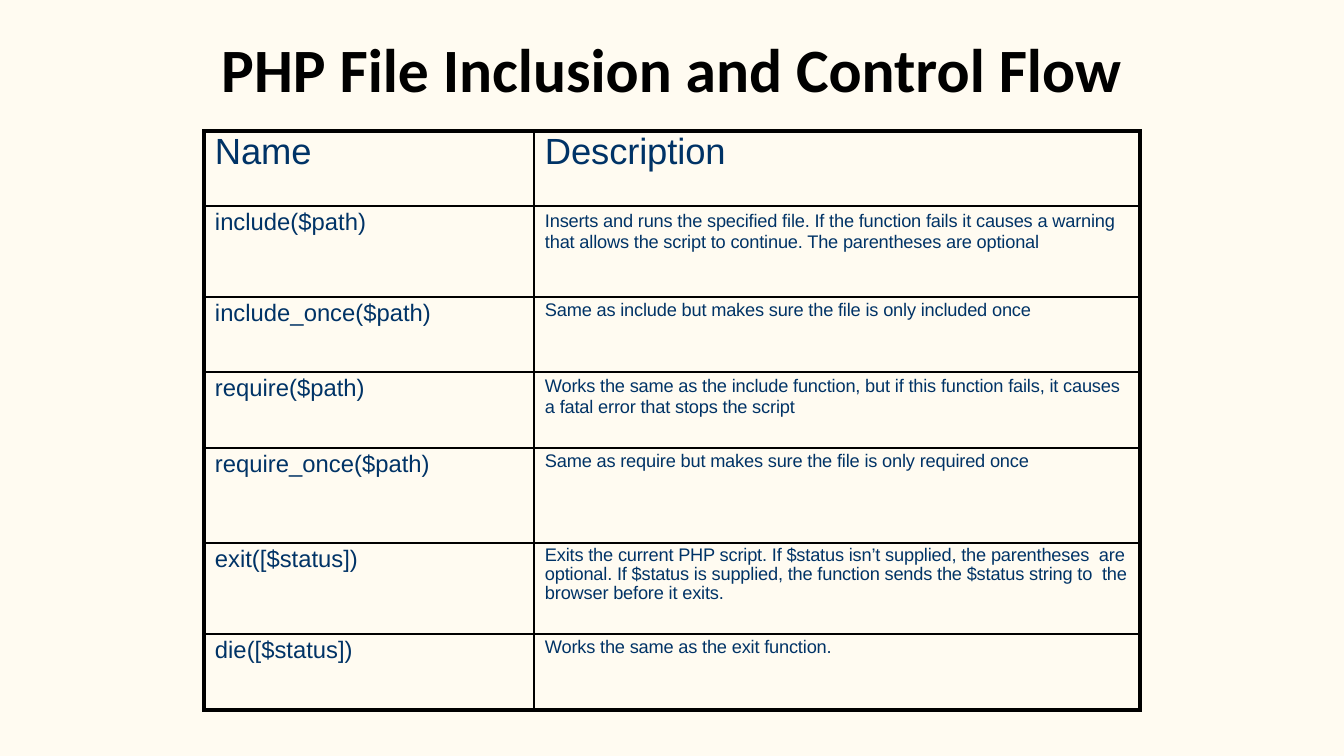
from dataclasses import dataclass

from lxml import etree
from pptx import Presentation
from pptx.dml.color import RGBColor
from pptx.enum.text import MSO_ANCHOR, PP_ALIGN
from pptx.oxml.ns import qn
from pptx.util import Pt

MIDDLE, TOP = MSO_ANCHOR.MIDDLE, MSO_ANCHOR.TOP
CENTER = PP_ALIGN.CENTER

# Content: name, description, row height in px, description line spacing
TITLE = "PHP File Inclusion and Control Flow"
ROWS = [
    ("Name", "Description", 75, None),
    ("include($path)",
     "Inserts and runs the specified file. If the function fails it causes a warning  "
     "that allows the script to continue. The parentheses are optional", 91, Pt(15.1)),
    ("include_once($path)",
     "Same as include but makes sure the file is only included once", 75, None),
    ("require($path)",
     "Works the same as the include function, but if this function fails, it causes  "
     "a fatal error that stops the script", 76, Pt(14.9)),
    ("require_once($path)",
     "Same as require but makes sure the file is only required once", 95, None),
    ("exit([$status])",
     "Exits the current PHP script. If $status isn’t supplied, the parentheses  are "
     "optional. If $status is supplied, the function sends the $status string to  "
     "the browser before it exits.", 91, 0.93),
    ("die([$status])", "Works the same as the exit function.", 76, None),
]

# Layout in px
SLIDE_WIDTH, SLIDE_HEIGHT = 1344, 756
TITLE_BOX = (0, 14, SLIDE_WIDTH, 117)
TABLE_LEFT, TABLE_TOP = 204, 131
COLUMN_WIDTHS = (330, 606)
TEXT_INDENT = 11
RIGHT_MARGIN = 8


@dataclass(frozen=True)
class Theme:
    background: str = "FFFBF1"
    title_color: str = "000000"
    text_color: str = "003366"
    border_color: str = "000000"
    title_font: str = "Calibri"
    text_font: str = "Arial"
    title_size: int = 44
    header_size: int = 26
    name_size: int = 17
    description_size: int = 13
    outer_border: float = 3
    inner_border: float = 1.5
    tracking: int = -10  # hundredths of a point


THEME = Theme()


def px(length):
    return round(length * 914400 / 100.8)


def format_font(font, name, size, color, bold=False):
    font.name = name
    font.size = Pt(size)
    font.bold = bold
    font.color.rgb = RGBColor.from_string(color)


def add_title(slide):
    shape = slide.shapes.add_textbox(*map(px, TITLE_BOX))
    frame = shape.text_frame
    frame.word_wrap = True
    frame.vertical_anchor = MIDDLE
    frame.text = TITLE
    paragraph = frame.paragraphs[0]
    paragraph.alignment = CENTER
    paragraph.line_spacing = 0.9
    format_font(paragraph.runs[0].font, THEME.title_font, THEME.title_size,
                THEME.title_color, bold=True)


def set_borders(cell, outer_sides):
    """Draw all four sides, with the heavier line on the table's edge."""
    properties = cell._tc.get_or_add_tcPr()
    for position, side in enumerate(("lnL", "lnR", "lnT", "lnB")):
        width = THEME.outer_border if side in outer_sides else THEME.inner_border
        line = etree.Element(qn(f"a:{side}"), w=str(Pt(width)))
        fill = etree.SubElement(line, qn("a:solidFill"))
        etree.SubElement(fill, qn("a:srgbClr"), val=THEME.border_color)
        properties.insert(position, line)


def fill_cell(cell, text, size, top_margin, space_before, line_spacing, tracking):
    cell.fill.background()
    cell.vertical_anchor = TOP
    cell.margin_left = px(TEXT_INDENT)
    cell.margin_right = px(RIGHT_MARGIN)
    cell.margin_top = px(top_margin)
    cell.margin_bottom = 0
    cell.text = text
    paragraph = cell.text_frame.paragraphs[0]
    paragraph.space_before = Pt(space_before)
    if line_spacing:
        paragraph.line_spacing = line_spacing
    font = paragraph.runs[0].font
    format_font(font, THEME.text_font, size, THEME.text_color)
    font._element.set("spc", str(tracking))


def add_function_table(slide):
    heights = [row[2] for row in ROWS]
    table = slide.shapes.add_table(
        len(ROWS), len(COLUMN_WIDTHS), px(TABLE_LEFT), px(TABLE_TOP),
        px(sum(COLUMN_WIDTHS)), px(sum(heights))).table
    table.first_row = table.horz_banding = False
    for column, width in zip(table.columns, COLUMN_WIDTHS):
        column.width = px(width)

    last_row = len(ROWS) - 1
    for row_index, (name, description, height, line_spacing) in enumerate(ROWS):
        table.rows[row_index].height = px(height)
        is_header = row_index == 0
        sizes = ((THEME.header_size,) * 2 if is_header
                 else (THEME.name_size, THEME.description_size))
        for column_index, text in enumerate((name, description)):
            cell = table.cell(row_index, column_index)
            spacing = line_spacing if column_index else None
            if is_header:
                top_margin, space_before = 1, 0.8
            elif spacing:
                top_margin, space_before = 4, 2.8
            else:
                top_margin, space_before = 3, 1.9
            tracking = THEME.tracking if is_header or column_index else 0
            fill_cell(cell, text, sizes[column_index], top_margin, space_before,
                      spacing, tracking)
            outer_sides = {"lnR" if column_index else "lnL"}
            if is_header:
                outer_sides.add("lnT")
            if row_index == last_row:
                outer_sides.add("lnB")
            set_borders(cell, outer_sides)


def main():
    presentation = Presentation()
    presentation.slide_width = px(SLIDE_WIDTH)
    presentation.slide_height = px(SLIDE_HEIGHT)
    slide = presentation.slides.add_slide(presentation.slide_layouts[6])
    slide.background.fill.solid()
    slide.background.fill.fore_color.rgb = RGBColor.from_string(THEME.background)
    add_title(slide)
    add_function_table(slide)
    presentation.save("out.pptx")


if __name__ == "__main__":
    main()
